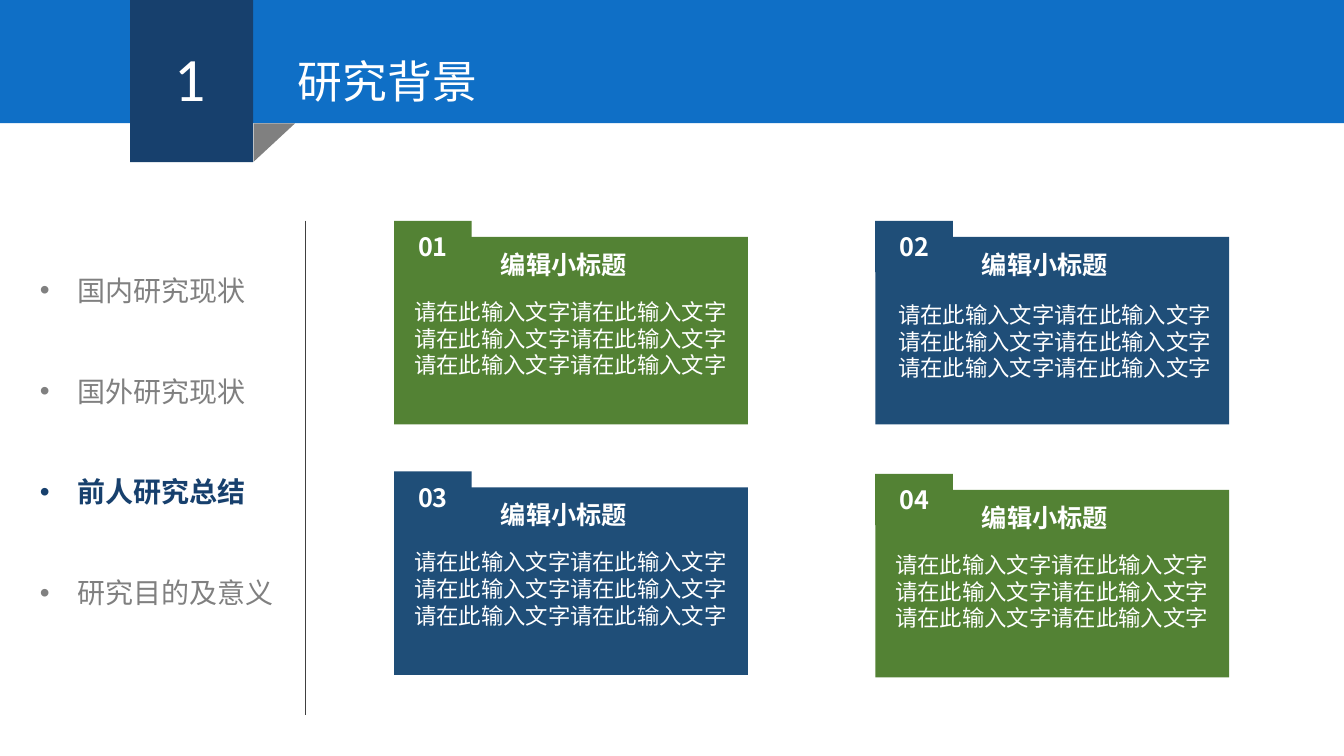
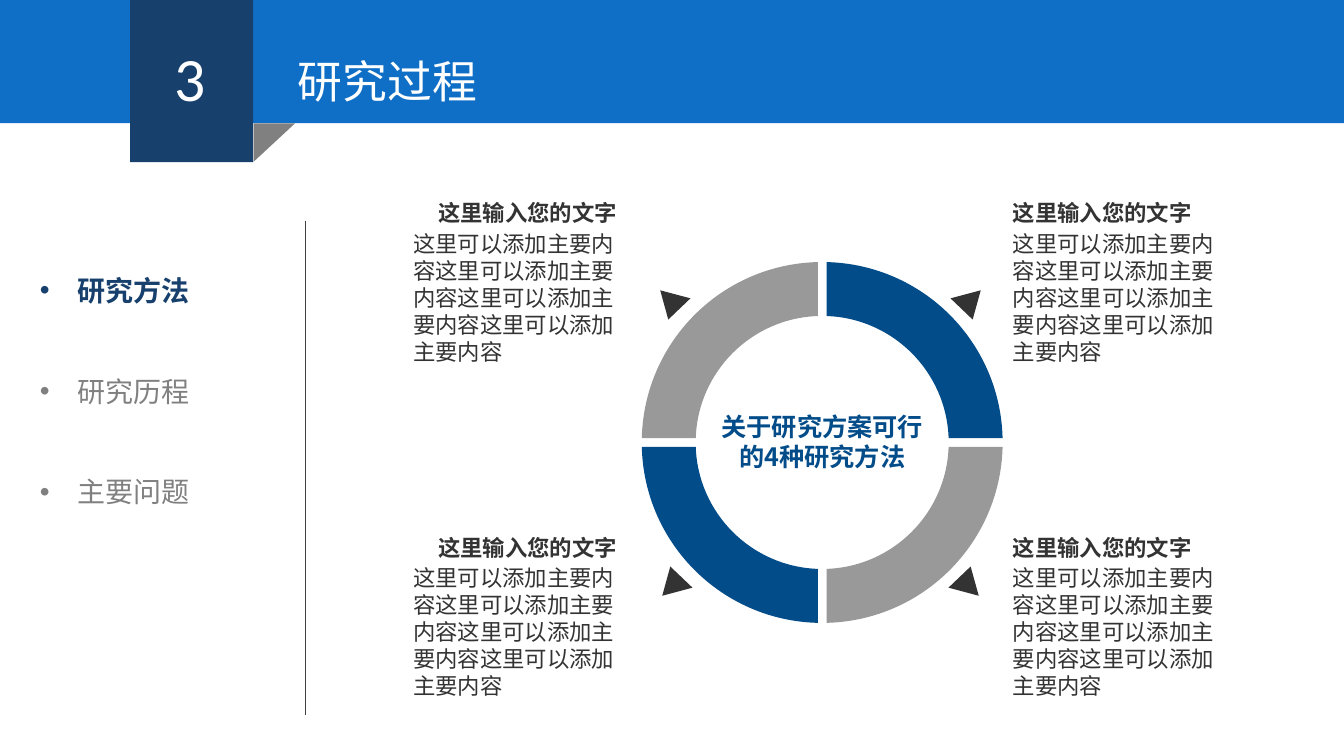
from dataclasses import dataclass
from itertools import product
from math import acos, asin, cos, pi, sin, tan

from pptx import Presentation
from pptx.dml.color import RGBColor
from pptx.enum.shapes import MSO_CONNECTOR as Connector, MSO_SHAPE as Preset
from pptx.enum.text import MSO_ANCHOR as Anchor, MSO_AUTO_SIZE as AutoSize, PP_ALIGN as Align
from pptx.oxml.ns import qn
from pptx.oxml.xmlchemy import OxmlElement
from pptx.util import Inches, Pt

# The grid has square cells of a tenth of an inch.
CELL = Inches(0.1)
COLUMNS, ROWS = 133.33, 75


@dataclass(frozen=True)
class Theme:
    band: str = "0F6FC6"
    navy: str = "17406D"
    fold: str = "808080"
    muted: str = "808080"
    rule: str = "404040"
    white: str = "FFFFFF"
    green: str = "538234"
    blue: str = "1F4E78"
    ring_blue: str = "024C89"
    ring_gray: str = "999999"
    ink: str = "333333"
    latin: str = "Calibri"
    chinese: str = "Noto Sans CJK SC"
    number_size: int = 44
    title_size: int = 32
    list_size: int = 20
    heading_size: int = 18
    body_size: int = 16
    leading: float = 1.2


THEME = Theme()


def cells(*lengths):
    return [round(length * CELL) for length in lengths]


def write(paragraph, text, *, size=THEME.body_size, color=THEME.ink, bold=False,
          font=THEME.chinese, align=Align.LEFT, lines=1):
    """Fill a paragraph; lines is its line spacing in multiples of the theme's leading."""
    paragraph.alignment = align
    paragraph.space_before = Pt(0)
    paragraph.line_spacing = Pt(size * THEME.leading * lines)
    run = paragraph.add_run()
    run.text = text
    run.font.size = Pt(size)
    run.font.bold = bold
    run.font.color.rgb = RGBColor.from_string(color)
    run.font.name = font
    east_asian = OxmlElement("a:ea")
    east_asian.set("typeface", THEME.chinese)
    run._r.get_or_add_rPr().append(east_asian)


def bend(lines):
    """Merge three line segments of an outline into one cubic curve."""
    curve = OxmlElement("a:cubicBezTo")
    lines[0].addprevious(curve)
    for line in lines:
        curve.append(line[0])
        line.getparent().remove(line)


class Deck:
    """Holds the theme, the presentation and the slide being drawn."""

    def __init__(self, theme):
        self.theme = theme
        self.presentation = Presentation()
        self.presentation.slide_width, self.presentation.slide_height = cells(COLUMNS, ROWS)
        self.slide = None

    def start_slide(self, number, title, topics, current):
        theme = self.theme
        layout = self.presentation.slide_layouts[1]
        self.slide = self.presentation.slides.add_slide(layout)
        title_holder, list_holder = self.slide.placeholders
        band = self.box(0, 0, COLUMNS, 12.23, theme.band)
        ribbon = self.box(12.9, 0, 12.23, 16.1, theme.navy)
        fold = self.box(25.3, 12.1, 3.8, 4.1, theme.fold, Preset.RIGHT_TRIANGLE)
        fold.rotation = 90
        for shape in (band, ribbon, fold):
            title_holder.element.addprevious(shape.element)
        self.text(16.3, 3.5, 5.4, 8.4, number, size=theme.number_size,
                  color=theme.white, font=theme.latin)
        self.place(title_holder, 28.55, 4.8, 39.1, 6.4)
        write(title_holder.text_frame.paragraphs[0], title, size=theme.title_size,
              color=theme.white, font=theme.latin)
        self.topic_list(list_holder, topics, current)
        self.line(30.3, 21.9, 30.3, 70.9)

    def place(self, shape, left, top, width, height):
        shape.left, shape.top, shape.width, shape.height = cells(left, top, width, height)
        frame = shape.text_frame
        frame.word_wrap = True
        frame.auto_size = AutoSize.NONE
        frame.vertical_anchor = Anchor.TOP

    def topic_list(self, holder, topics, current):
        theme = self.theme
        self.place(holder, 2.95, 19.95, 32.1, 1.1 + 10.1 * len(topics))
        frame = holder.text_frame
        for index, topic in enumerate(topics):
            paragraph = frame.add_paragraph() if index else frame.paragraphs[0]
            active = topic == current
            write(paragraph, topic, size=theme.list_size, bold=active, font=theme.latin,
                  color=theme.navy if active else theme.muted, lines=3)

    def paint(self, shape, color):
        shape.shadow.inherit = False
        shape.fill.solid()
        shape.fill.fore_color.rgb = RGBColor.from_string(color)
        shape.line.fill.background()
        return shape

    def box(self, left, top, width, height, color, preset=Preset.RECTANGLE):
        shape = self.slide.shapes.add_shape(preset, *cells(left, top, width, height))
        return self.paint(shape, color)

    def text(self, left, top, width, height, content, **style):
        shape = self.slide.shapes.add_textbox(*cells(left, top, width, height))
        self.place(shape, left, top, width, height)
        write(shape.text_frame.paragraphs[0], content, **style)

    def line(self, *ends):
        connector = self.slide.shapes.add_connector(Connector.STRAIGHT, *cells(*ends))
        connector.line.color.rgb = RGBColor.from_string(self.theme.rule)
        connector.line.width = Pt(0.5)
        connector.element.spPr.append(OxmlElement("a:effectLst"))

    def polygon(self, points, color):
        first, *others = [cells(*point) for point in points]
        builder = self.slide.shapes.build_freeform(*first)
        builder.add_line_segments(others, close=True)
        return self.paint(builder.convert_to_shape(), color)

    def card(self, number, left, top, color, nudge=0):
        """Draw a numbered folder card; nudge shifts its body text right and down."""
        theme = self.theme
        heading = dict(size=theme.heading_size, color=theme.white, bold=True)
        self.box(left, top + 1.6, 35.1, 18.6, color)
        tab = self.box(left, top, 7.7, 5.1, color)
        tab.text_frame.vertical_anchor = Anchor.MIDDLE
        write(tab.text_frame.paragraphs[0], number, align=Align.CENTER, **heading)
        self.text(left + 9.6, top + 2.3, 19.1, 4, "编辑小标题", **heading)
        self.text(left + 1 + nudge, top + 7.15 + nudge, 34.1, 14.5,
                  "请在此输入文字" * 6, color=theme.white)

    def ring_segment(self, center, side, level, color):
        """Draw the quarter ring on one side (-1 left, 1 right) and level (-1 up, 1 down)."""
        outer, inner, half_gap = 17.9, 12.55, 0.43

        def arc(radius):
            """Give the ends of an arc with its two Bezier handles between them."""
            start, end = asin(half_gap / radius), acos(half_gap / radius)
            handle = 4 / 3 * tan((end - start) / 4)
            points = [(cos(start), sin(start)),
                      (cos(start) - handle * sin(start), sin(start) + handle * cos(start)),
                      (cos(end) + handle * sin(end), sin(end) - handle * cos(end)),
                      (cos(end), sin(end))]
            return [(center[0] + side * radius * x, center[1] + level * radius * y)
                    for x, y in points]

        segment = self.polygon(arc(outer) + arc(inner)[::-1], color)
        lines = list(segment.element.iter(qn("a:lnTo")))
        bend(lines[:3])
        bend(lines[4:7])

    def marker(self, center, side, level):
        corners = [(15.8, 15.15), (15, 12.25), (12.8, 14.35)]
        self.polygon([(center[0] + side * (x - 0.1 * level), center[1] + level * y)
                      for x, y in corners], self.theme.ink)

    def method_note(self, side, top):
        heading, body = "这里输入您的文字", "这里可以添加主要内容" * 4
        if side < 0:
            self.text(38.7, top, 23.5, 3.7, heading, bold=True, align=Align.RIGHT)
            self.text(40, top + 3.05, 23.5, 14.5, body)
        else:
            self.text(99.5, top, 21.1, 3.7, heading, bold=True)
            self.text(99.5, top + 3.05, 23.5, 14.5, body)


def background_slide(deck):
    theme = deck.theme
    deck.start_slide("1", "研究背景",
                     ["国内研究现状", "国外研究现状", "前人研究总结", "研究目的及意义"],
                     "前人研究总结")
    deck.card("01", 39.1, 21.9, theme.green)
    deck.card("02", 86.83, 21.9, theme.blue, nudge=0.3)
    deck.card("03", 39.1, 46.75, theme.blue)
    deck.card("04", 86.83, 47, theme.green)


def process_slide(deck):
    theme = deck.theme
    deck.start_slide("3", "研究过程", ["研究方法", "研究历程", "主要问题"], "研究方法")
    for side, level in product((-1, 1), repeat=2):
        color = theme.ring_gray if side == level else theme.ring_blue
        deck.ring_segment((81.57, 43.9), side, level, color)
        deck.marker((81.4, 43.95), side, level)
        deck.method_note(side, 19.3 if level < 0 else 52.47)
    deck.text(70.27, 40.3, 22.6, 7.1, "关于研究方案可行的4种研究方法", size=theme.heading_size,
              color=theme.ring_blue, bold=True, align=Align.CENTER)


def main():
    deck = Deck(THEME)
    background_slide(deck)
    process_slide(deck)
    deck.presentation.save("out.pptx")


if __name__ == "__main__":
    main()
